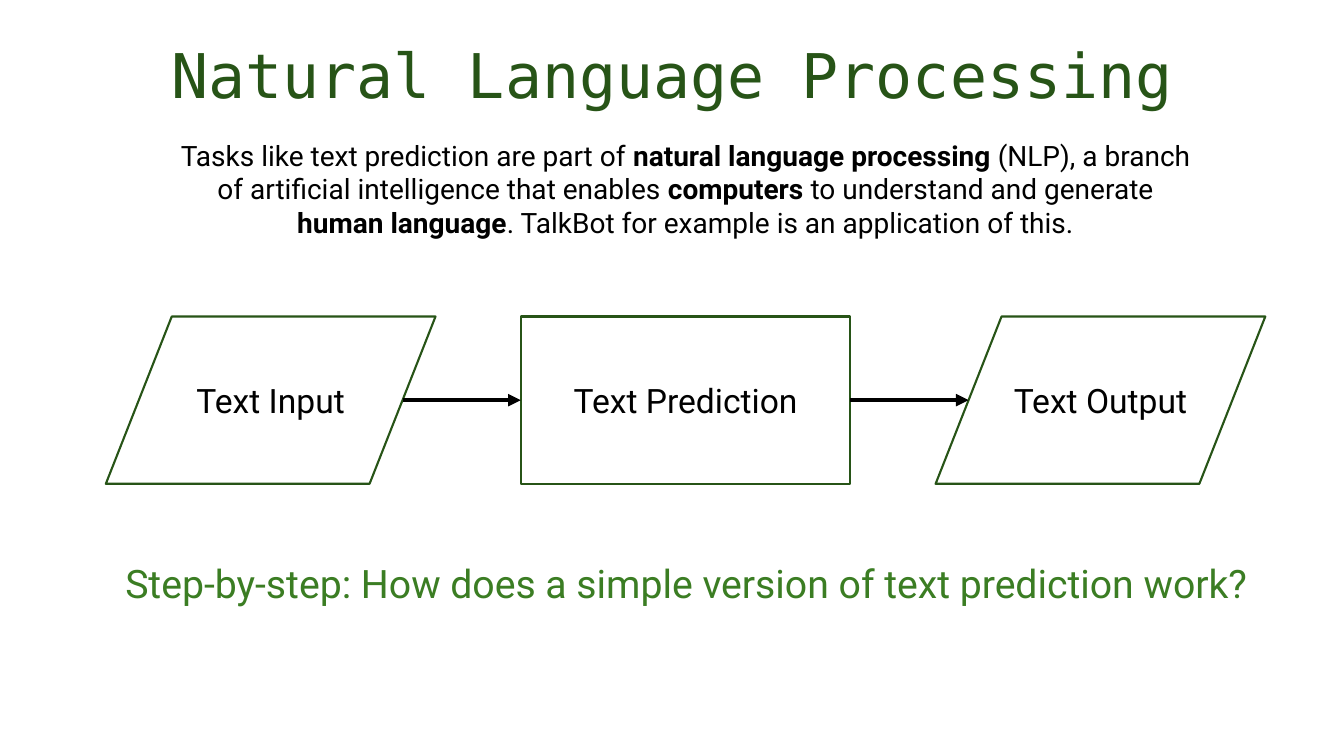
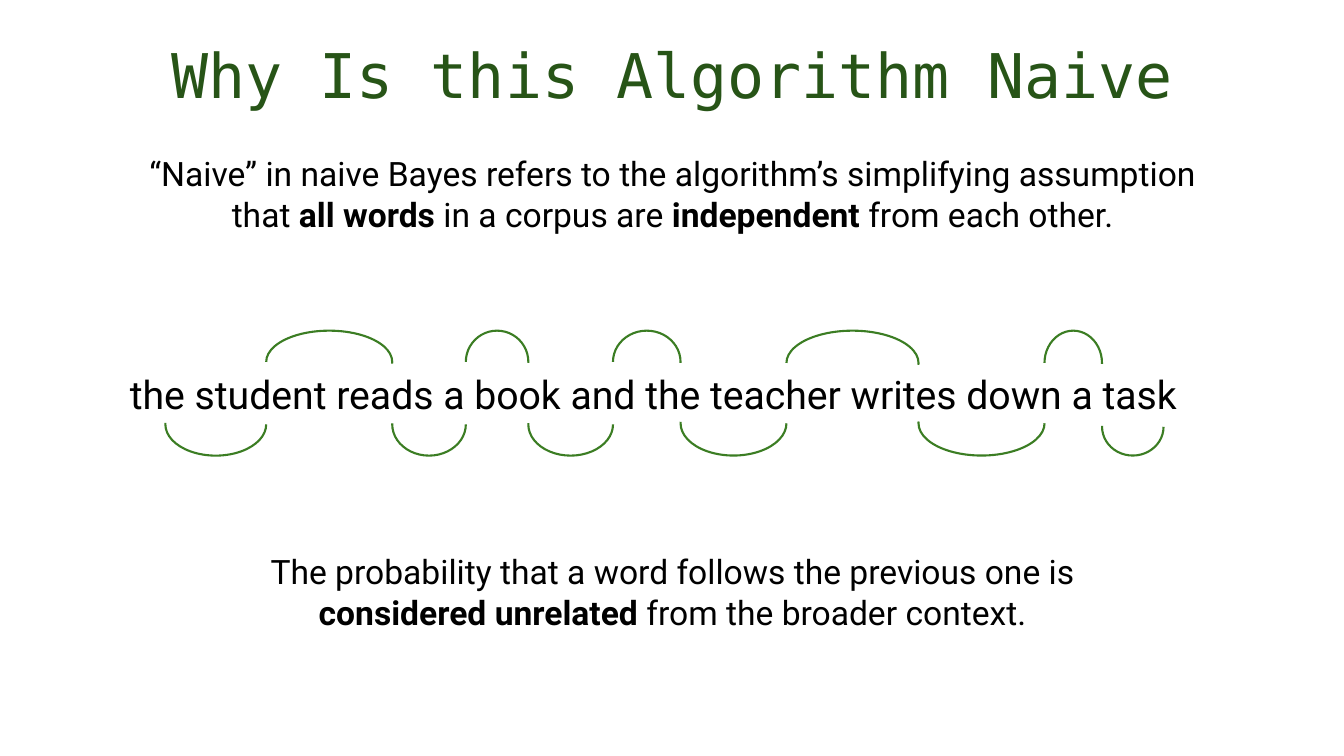
from lxml import etree
from pptx import Presentation
from pptx.dml.color import RGBColor
from pptx.enum.shapes import MSO_CONNECTOR, MSO_SHAPE
from pptx.enum.text import MSO_ANCHOR, PP_ALIGN
from pptx.oxml.ns import qn
from pptx.util import Inches, Pt

DARK_GREEN = RGBColor(0x27, 0x54, 0x17)
GREEN = RGBColor(0x3B, 0x7D, 0x23)
BLACK = RGBColor(0x00, 0x00, 0x00)
TITLE_FONT = "DejaVu Sans Mono"
BODY_FONT = "Roboto"
LEFT, CENTER = PP_ALIGN.LEFT, PP_ALIGN.CENTER
TOP, MIDDLE = MSO_ANCHOR.TOP, MSO_ANCHOR.MIDDLE
STRAIGHT = MSO_CONNECTOR.STRAIGHT
ARC, DATA, PROCESS = (
    MSO_SHAPE.ARC,
    MSO_SHAPE.FLOWCHART_DATA,
    MSO_SHAPE.FLOWCHART_PROCESS,
)


def write_text(shape, text, size=24, font=BODY_FONT, color=BLACK,
               align=CENTER, anchor=TOP, line_spacing=None):
    """Write one paragraph per line; parts between ** marks are bold."""
    frame = shape.text_frame
    frame.word_wrap = True
    frame.vertical_anchor = anchor
    for number, line in enumerate(text.split("\n")):
        paragraph = frame.add_paragraph() if number else frame.paragraphs[0]
        paragraph.alignment = align
        paragraph.line_spacing = line_spacing
        for position, part in enumerate(line.split("**")):
            if part:
                run = paragraph.add_run()
                run.text = part
                run.font.name = font
                run.font.size = Pt(size)
                run.font.bold = position % 2 == 1
                run.font.color.rgb = color


def add_outline(shapes, kind, left, top, width, height, color):
    shape = shapes.add_shape(kind, Inches(left), Inches(top), Inches(width), Inches(height))
    shape.shadow.inherit = False
    shape.fill.background()
    shape.line.color.rgb = color
    shape.line.width = Pt(1.5)
    return shape


presentation = Presentation()
presentation.slide_width = Inches(13.33)
presentation.slide_height = Inches(7.5)

slides = []
for title in ("Natural Language Processing", "Why Is this Algorithm Naive"):
    slide = presentation.slides.add_slide(presentation.slide_layouts[6])
    title_box = slide.shapes.add_textbox(Inches(0.92), Inches(0.4), Inches(11.5), Inches(1.45))
    write_text(title_box, title, size=44, font=TITLE_FONT, color=DARK_GREEN, line_spacing=0.9)
    slides.append(slide)
process_slide, naive_slide = slides

# Natural language processing: introduction, flow chart, question
intro = process_slide.shapes.add_textbox(Inches(1.67), Inches(1.32), Inches(10.26), Inches(1.11))
write_text(
    intro,
    "Tasks like text prediction are part of **natural language processing** (NLP), "
    "a branch of artificial intelligence that enables **computers** to understand "
    "and generate **human language**. TalkBot for example is an application of this.",
    size=20,
)

STEP_LEFT, STEP_TOP, STEP_WIDTH, STEP_HEIGHT = 1.05, 3.14, 3.27, 1.66
STEP_PITCH = 4.115
SLANT = STEP_WIDTH / 10  # distance from the box edge to the slanted side at mid-height
steps = [("Text Input", DATA), ("Text Prediction", PROCESS), ("Text Output", DATA)]
for index, (label, kind) in enumerate(steps):
    step = add_outline(process_slide.shapes, kind, STEP_LEFT + index * STEP_PITCH,
                       STEP_TOP, STEP_WIDTH, STEP_HEIGHT, DARK_GREEN)
    write_text(step, label, anchor=MIDDLE)

arrow_y = Inches(STEP_TOP + STEP_HEIGHT / 2)
process_left = STEP_LEFT + STEP_PITCH
output_left = STEP_LEFT + 2 * STEP_PITCH
for start, end in (
    (STEP_LEFT + STEP_WIDTH - SLANT, process_left),
    (process_left + STEP_WIDTH, output_left + SLANT),
):
    arrow = process_slide.shapes.add_connector(
        STRAIGHT, Inches(start), arrow_y, Inches(end), arrow_y)
    arrow.line.color.rgb = BLACK
    arrow.line.width = Pt(3)
    etree.SubElement(arrow.line._get_or_add_ln(), qn("a:tailEnd"), type="triangle")
    etree.SubElement(arrow._element.spPr, qn("a:effectLst"))

question = process_slide.shapes.add_textbox(Inches(0.98), Inches(5.5), Inches(11.65), Inches(0.57))
write_text(question, "Step-by-step: How does a simple version of text prediction work?",
           size=28, color=GREEN)

# Naive assumption: two statements around a sentence with linked words
for top, statement in (
    (1.47, "“Naive” in naive Bayes refers to the algorithm’s simplifying assumption "
           "that **all words **in a corpus are **independent** from each other."),
    (5.42, "The probability that a word follows the previous one is\n"
           "**considered unrelated** from the broader context."),
):
    statement_box = naive_slide.shapes.add_textbox(
        Inches(1.18), Inches(top), Inches(10.98), Inches(0.91))
    write_text(statement_box, statement)

sentence_group = naive_slide.shapes.add_group_shape()
sentence = sentence_group.shapes.add_textbox(Inches(1.19), Inches(3.62), Inches(11.2), Inches(0.57))
write_text(sentence, "the student reads a book and the teacher writes down a task",
           size=28, align=LEFT)

ARCS_TOP, ARCS_BOTTOM = 3.28, 4.52
word_positions = [1.64, 2.64, 3.89, 4.62, 5.24, 6.08, 6.75, 7.8, 9.11, 10.36, 10.93, 11.54]
arc_depths = [0.62] * 6 + [0.64] * 4 + [0.57]
for index, depth in enumerate(arc_depths):
    start, end = word_positions[index:index + 2]
    below = index % 2 == 0
    span = end - start
    center_x = (start + end) / 2
    center_y = ARCS_BOTTOM - depth / 2 if below else ARCS_TOP + depth / 2
    # A quarter turn swaps the sides, so the depth is given as the width
    arc = add_outline(sentence_group.shapes, ARC, center_x - depth / 2,
                      center_y - span / 2, depth, span, GREEN)
    arc.adjustments[0] = 162
    arc.adjustments[1] = 54.98
    arc.rotation = 90 if below else 270

presentation.save("out.pptx")
